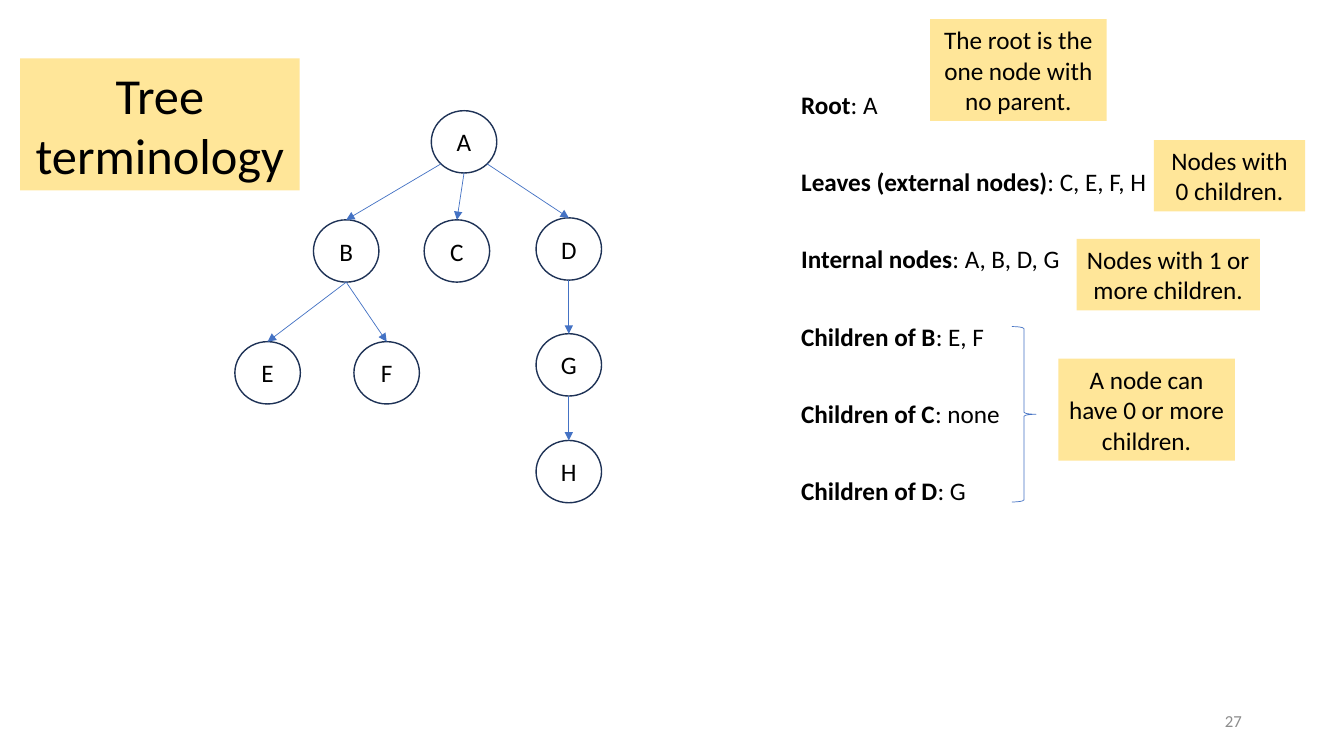
from math import sqrt

from lxml import etree
from pptx import Presentation
from pptx.dml.color import RGBColor
from pptx.enum.shapes import MSO_CONNECTOR, MSO_SHAPE
from pptx.enum.text import MSO_ANCHOR, MSO_AUTO_SIZE, PP_ALIGN
from pptx.oxml.ns import qn
from pptx.util import Cm, Pt

YELLOW, BLUE, NAVY, BLACK, GRAY = "FFE699", "4472C4", "1E3256", "000000", "8C8C8C"


def rgb(color):
    return RGBColor.from_string(color)


def style_text(sp, size=18, color=BLACK, align=PP_ALIGN.CENTER, wrap=True):
    """Format every run of a shape and its text frame."""
    tf = sp.text_frame
    tf.word_wrap = wrap
    tf.auto_size = MSO_AUTO_SIZE.NONE
    tf.vertical_anchor = MSO_ANCHOR.MIDDLE
    for p in tf.paragraphs:
        p.alignment = align
        p.line_spacing = 1.0
        for r in p.runs:
            r.font.name = "Calibri"
            r.font.size = Pt(size)
            r.font.color.rgb = rgb(color)


prs = Presentation()
prs.slide_width, prs.slide_height = Cm(33.87), Cm(19.05)
s = prs.slides.add_slide(prs.slide_layouts[5])

# Title
title = s.shapes.title
title.left, title.top, title.width, title.height = Cm(0.51), Cm(1.47), Cm(7.04), Cm(3.33)
title.fill.solid()
title.fill.fore_color.rgb = rgb(YELLOW)
title.text_frame.text = "Tree terminology"
style_text(title, 36)

# Tree nodes: left and top in cm
NODE_W, NODE_H = 1.65, 1.57
positions = {
    "A": (10.87, 2.79),
    "B": (7.9, 5.54), "C": (10.69, 5.54), "D": (13.51, 5.49),
    "E": (5.92, 8.61), "F": (8.92, 8.61), "G": (13.51, 8.41),
    "H": (13.51, 11.1),
}
nodes = {}
for name, (x, y) in positions.items():
    sp = s.shapes.add_shape(MSO_SHAPE.OVAL, Cm(x), Cm(y), Cm(NODE_W), Cm(NODE_H))
    sp.shadow.inherit = False
    sp.fill.background()
    sp.line.color.rgb = rgb(NAVY)
    sp.line.width = Pt(1)
    tf = sp.text_frame
    tf.margin_left = tf.margin_right = tf.margin_top = tf.margin_bottom = 0
    tf.text = name
    style_text(sp)
    nodes[name] = sp

# Edges: parent, child, and where the edge leaves (-1 lower left, 0 bottom, 1 lower right)
edges = [("A", "B", -1), ("A", "C", 0), ("A", "D", 1), ("B", "E", 0),
         ("B", "F", 0), ("D", "G", 0), ("G", "H", 0)]
for parent, child, side in edges:
    x, y = positions[parent]
    start_x = x + NODE_W / 2 * (1 + side / sqrt(2))
    start_y = y + NODE_H / 2 * (1 + (1 / sqrt(2) if side else 1))
    edge = s.shapes.add_connector(
        MSO_CONNECTOR.STRAIGHT, Cm(start_x), Cm(start_y), Cm(start_x), Cm(start_y))
    if side == 0:
        edge.end_x = Cm(start_x)
    edge.end_connect(nodes[child], 0)
    edge.line.color.rgb = rgb(BLUE)
    edge.line.width = Pt(0.5)
    etree.SubElement(edge.line._get_or_add_ln(), qn("a:tailEnd"), type="triangle")
    etree.SubElement(edge._element.spPr, qn("a:effectLst"))

# Terms: name, value, box width in cm
terms = [
    ("Root", "A", 2.46),
    ("Leaves (external nodes)", "C, E, F, H", 9.3),
    ("Internal nodes", "A, B, D, G", 7.01),
    ("Children of B", "E, F", 5.16),
    ("Children of C", "none", 5.56),
    ("Children of D", "G", 4.7),
]
for i, (term, value, width) in enumerate(terms):
    sp = s.shapes.add_textbox(Cm(19.94), Cm(2.11 + 1.95 * i), Cm(width), Cm(1.02))
    p = sp.text_frame.paragraphs[0]
    for text, bold in ((term, True), (f": {value}", False)):
        r = p.add_run()
        r.text = text
        r.font.bold = bold
    style_text(sp, align=PP_ALIGN.LEFT, wrap=False)

# Callouts: text, left, top, width, height in cm
callouts = [
    ("A node can have 0 or more\vchildren.", 26.67, 9.04, 4.45, 2.57),
    ("The root is the one node with no parent.", 23.44, 0.48, 4.45, 2.57),
    ("Nodes with 0 children.", 29.08, 3.53, 3.81, 1.8),
    ("Nodes with 1 or more children.", 27.13, 6.02, 4.62, 1.8),
]
for text, *box in callouts:
    sp = s.shapes.add_shape(MSO_SHAPE.RECTANGLE, *map(Cm, box))
    sp.shadow.inherit = False
    sp.fill.solid()
    sp.fill.fore_color.rgb = rgb(YELLOW)
    sp.line.fill.background()
    sp.text_frame.text = text
    style_text(sp)

# Brace joining the three "Children of" terms
brace = s.shapes.add_shape(MSO_SHAPE.RIGHT_BRACE, Cm(25.5), Cm(8.23), Cm(0.61), Cm(4.42))
brace.shadow.inherit = False
brace.fill.background()
brace.line.color.rgb = rgb(BLUE)
brace.line.width = Pt(0.5)

# Slide number
number = s.shapes.add_textbox(Cm(23.93), Cm(17.65), Cm(7.62), Cm(1.02))
number.text_frame.text = "27"
style_text(number, 12, GRAY, PP_ALIGN.RIGHT)

prs.save("out.pptx")
